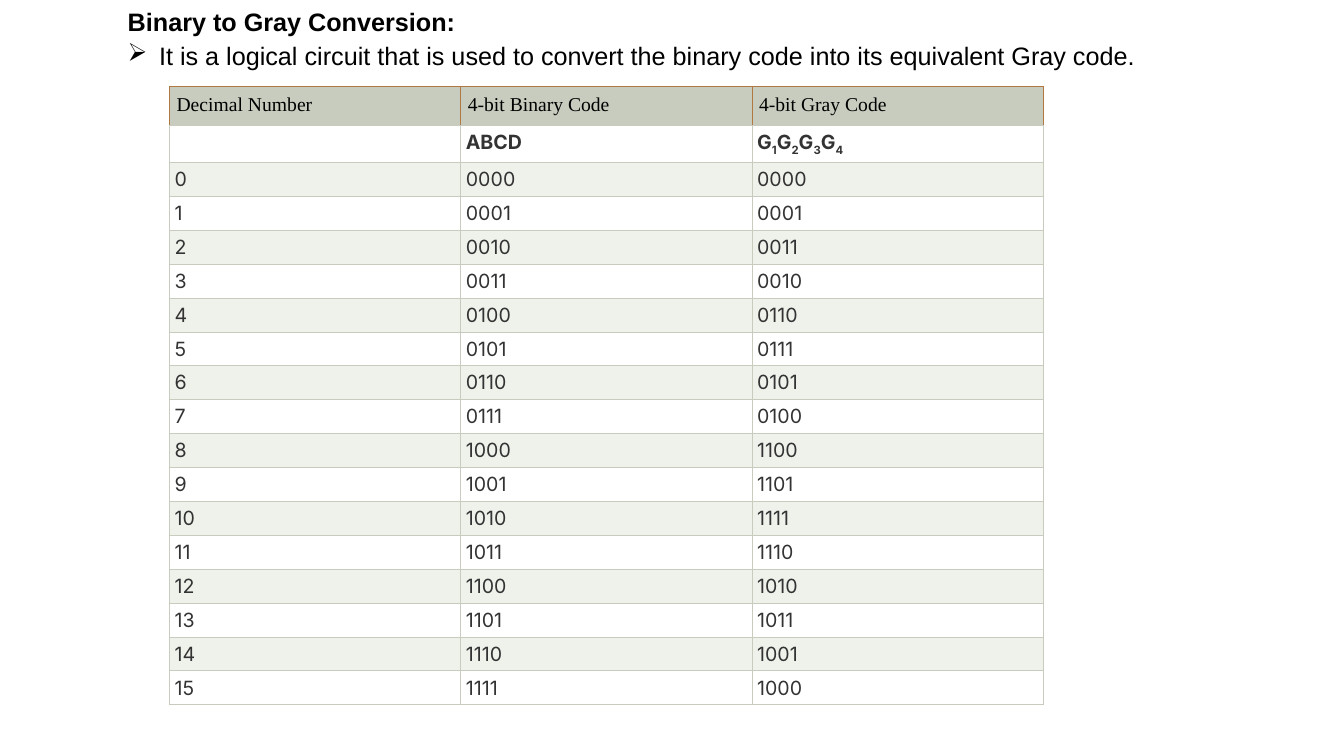
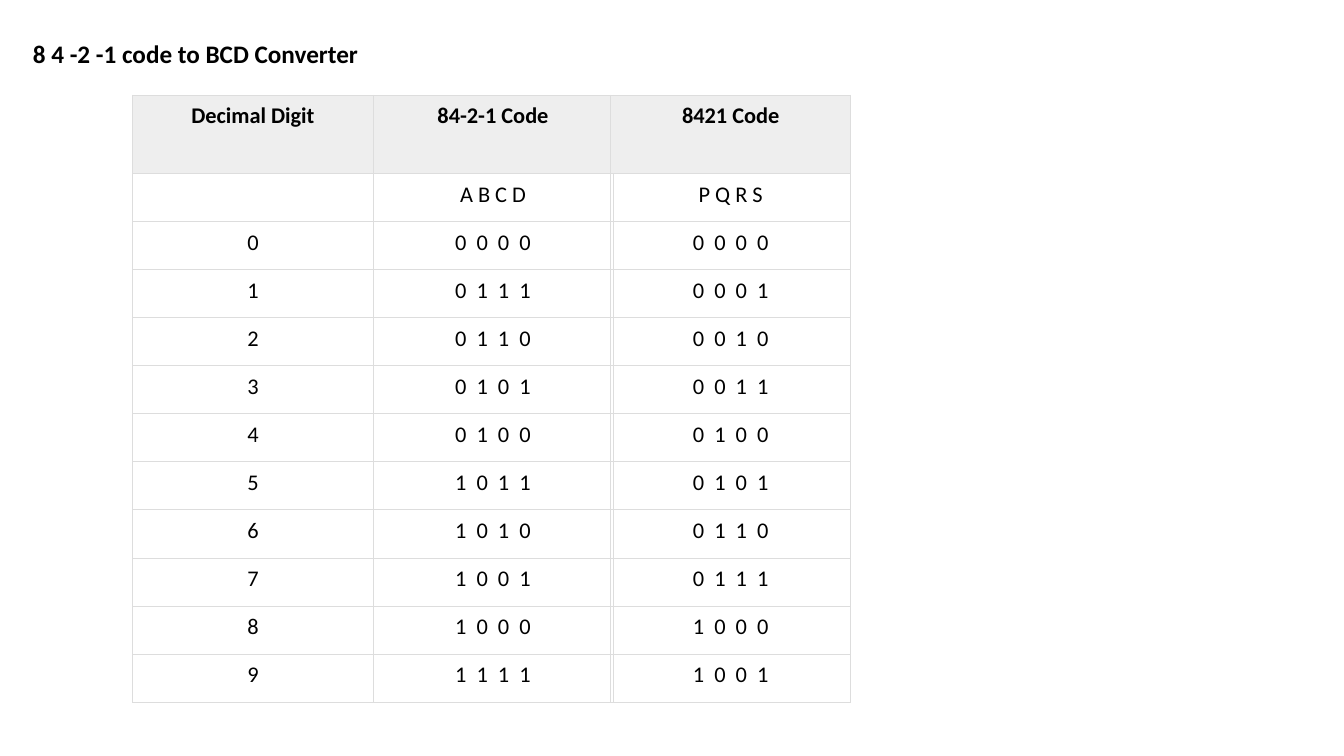
"""Build two slides of code conversion tables."""
from lxml.etree import SubElement
from pptx import Presentation
from pptx.dml.color import RGBColor as RGB
from pptx.enum.text import MSO_ANCHOR as ANCHOR, PP_ALIGN as ALIGN
from pptx.oxml import parse_xml
from pptx.oxml.ns import nsdecls, qn
from pptx.util import Cm, Pt

COLORS = {
    "black": "000000", "white": "FFFFFF", "ink": "333333",
    "sage": "C7CCBE", "pale": "EFF1EB", "copper": "B07941",
    "head": "EEEEEE", "rule": "DDDDDD",
}


def add_text(tf, text, size=18, font="Arial", color="black", bold=False,
             align=ALIGN.LEFT, bullet=None, subscripts=False, spacing=0):
    p = tf.paragraphs[0]
    p.alignment = align
    if bullet:
        pPr = p._p.get_or_add_pPr()
        pPr.set("marL", str(Cm(0.79)))
        pPr.set("indent", str(-Cm(0.79)))
        SubElement(pPr, qn("a:buChar")).set("char", bullet)
    if not text:
        p._p.get_or_add_endParaRPr().set("sz", str(size * 100))
    for part in text if subscripts else [text] if text else []:
        r = p.add_run()
        r.text = part
        r.font.size, r.font.name, r.font.bold = Pt(size), font, bold
        r.font.color.rgb = RGB.from_string(COLORS[color])
        rPr = r._r.get_or_add_rPr()
        if subscripts and part.isdigit():
            rPr.set("baseline", "-25000")
        if spacing:
            rPr.set("spc", str(int(spacing * 100)))


def add_grid(s, left, top, col_width, heights, rows, style):
    shape = s.shapes.add_table(len(rows), len(rows[0]), Cm(left), Cm(top),
                               Cm(col_width * len(rows[0])), Cm(sum(heights)))
    table = shape.table
    table.first_row = table.horz_banding = False
    for col in table.columns:
        col.width = Cm(col_width)
    for i, row in enumerate(rows):
        table.rows[i].height = Cm(heights[i])
        for j, text in enumerate(row):
            cell = table.cell(i, j)
            fill, edges, inset, fmt = style(i, text)
            cell.margin_left = cell.margin_right = Cm(inset)
            cell.margin_top = cell.margin_bottom = Cm(inset)
            tcPr = cell._tc.get_or_add_tcPr()
            for side, color in zip("LRTB", edges):
                tcPr.append(parse_xml(
                    f'<a:ln{side} {nsdecls("a")} w="{Pt(0.75)}"><a:solidFill>'
                    f'<a:srgbClr val="{COLORS[color]}"/></a:solidFill></a:ln{side}>'))
            if fill:
                cell.fill.solid()
                cell.fill.fore_color.rgb = RGB.from_string(COLORS[fill])
            else:
                cell.fill.background()
            add_text(cell.text_frame, text, **fmt)


def gray_style(i, text):
    if i == 0:
        return ("sage", ["copper"] * 3 + ["sage"], 0.18,
                dict(size=14, font="Times New Roman"))
    return ("white" if i % 2 else "pale", ["sage"] * 4, 0.13,
            dict(size=14, font="Inter", color="ink", bold=i == 1,
                 subscripts=text.startswith("G")))


def bcd_style(i, text):
    return ("head" if i == 0 else None, ["rule"] * 4, 0.18,
            dict(size=16, font="Calibri", bold=i == 0, align=ALIGN.CENTER,
                 spacing=1.8 if i > 1 and " " in text else 0))


prs = Presentation()
prs.slide_width, prs.slide_height = Cm(33.87), Cm(19.05)
slides = [prs.slides.add_slide(prs.slide_layouts[6]) for _ in range(2)]

texts = [
    (0, 2.97, 0.03, 12, "Binary to Gray Conversion:", dict(bold=True)),
    (0, 2.97, 0.89, 26.31,
     "It is a logical circuit that is used to convert the binary code "
     "into its equivalent Gray code.", dict(bullet="➢")),
    (1, 0.58, 0.84, 16.94, "8 4 -2 -1 code to BCD Converter",
     dict(font="Calibri", bold=True)),
]
for n, left, top, width, text, fmt in texts:
    sp = slides[n].shapes.add_textbox(Cm(left), Cm(top), Cm(width), Cm(1.02))
    tf = sp.text_frame
    tf.word_wrap = True
    tf.vertical_anchor = ANCHOR.MIDDLE
    add_text(tf, text, **fmt)

gray_rows = [["Decimal Number", "4-bit Binary Code", "4-bit Gray Code"],
             ["", "ABCD", "G1G2G3G4"]]
gray_rows += [[str(n), f"{n:04b}", f"{n ^ n >> 1:04b}"] for n in range(16)]
add_grid(slides[0], 4.27, 2.18, 7.34, [0.98, 0.91] + [0.85] * 16,
         gray_rows, gray_style)

weighted = ["0000", "0111", "0110", "0101", "0100",
            "1011", "1010", "1001", "1000", "1111"]
code_rows = [["Decimal Digit", "84-2-1 Code"], ["", "A B C D"]]
code_rows += [[str(n), " ".join(code)] for n, code in enumerate(weighted)]
bcd_rows = [["8421 Code"], ["P Q R S"]]
bcd_rows += [[" ".join(f"{n:04b}")] for n in range(10)]
for left, rows in [(3.35, code_rows), (15.39, bcd_rows)]:
    add_grid(slides[1], left, 2.4, 6.05, [1.98] + [1.21] * 11, rows, bcd_style)

prs.save("out.pptx")
